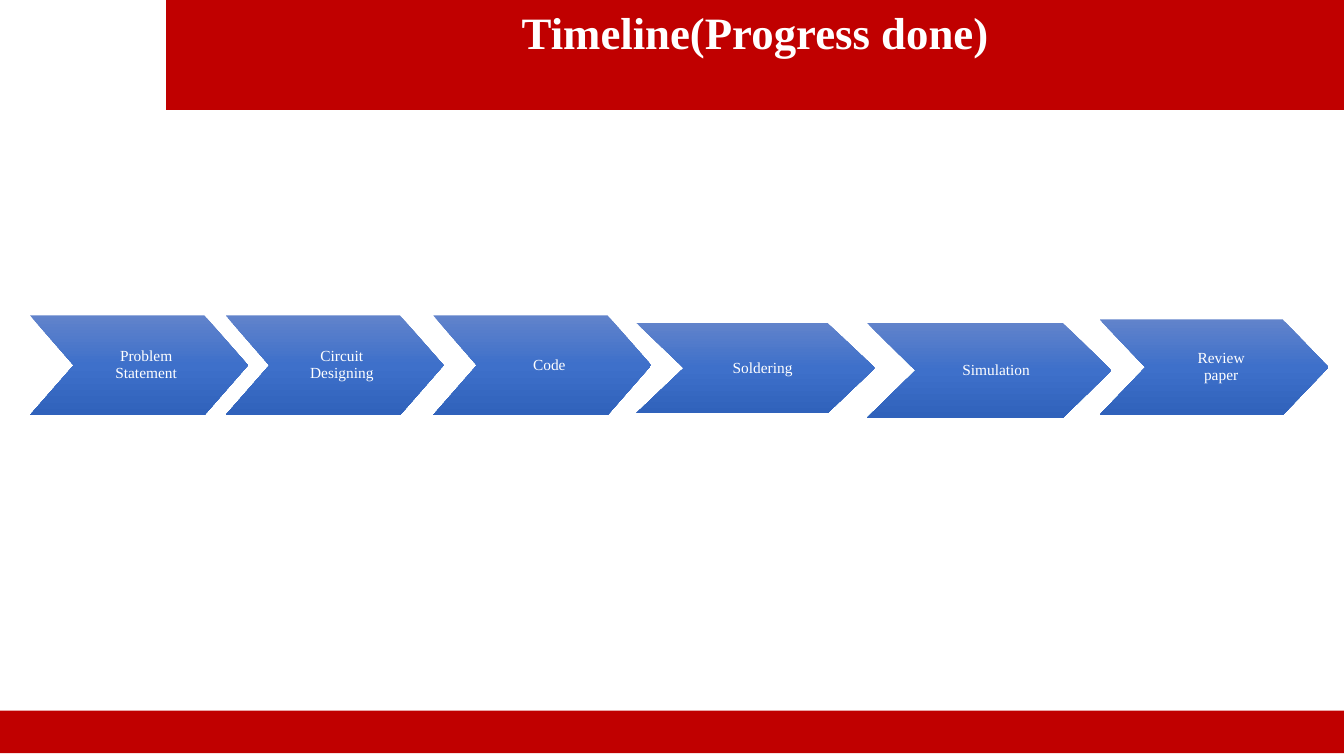
import pptx
import pptx.util
import pptx.dml.color
import pptx.enum.shapes
import pptx.enum.text
import pptx.oxml
import pptx.oxml.ns

Cm, Pt = pptx.util.Cm, pptx.util.Pt
RGB = pptx.dml.color.RGBColor
ALIGN = pptx.enum.text.PP_ALIGN
ANCHOR = pptx.enum.text.MSO_ANCHOR

# Content: lengths in cm
TITLE = "Timeline(Progress done)"
BARS = [  # left, top, width, height, text
    (4.19, 0, 29.69, 2.77, TITLE),
    (0, 17.91, 33.87, 1.07, ""),
]
STEPS = [  # text, left, top, width, height
    ("Problem Statement", 0.76, 7.95, 5.49, 2.51),
    ("Circuit Designing", 5.69, 7.95, 5.49, 2.51),
    ("Code", 10.92, 7.95, 5.49, 2.51),
    ("Soldering", 16.03, 8.13, 6.02, 2.29),
    ("Simulation", 21.84, 8.13, 6.17, 2.41),
    ("Review paper", 27.71, 8.05, 5.77, 2.41),
]
FONT = "Times New Roman"
RED = RGB(0xC0, 0x00, 0x00)
WHITE = RGB(0xFF, 0xFF, 0xFF)
BLUES = [
    (0, RGB(0x61, 0x83, 0xCB)),
    (50, RGB(0x3E, 0x70, 0xCA)),
    (100, RGB(0x30, 0x62, 0xBB)),
]
NOTCH = 0.2  # point depth as a share of the width


def write(shape, text, size, bold=False):
    frame = shape.text_frame
    frame.word_wrap = True
    para = frame.paragraphs[0]
    para.text = text
    para.alignment = ALIGN.CENTER
    para.font.name = FONT
    para.font.size = Pt(size)
    para.font.bold = bold
    para.font.color.rgb = WHITE
    return frame, para


def shade(shape):
    stops = "".join(
        f'<a:gs pos="{at * 1000}"><a:srgbClr val="{tone}"/></a:gs>'
        for at, tone in BLUES
    )
    fill = pptx.oxml.parse_xml(
        f'<a:gradFill {pptx.oxml.ns.nsdecls("a")} rotWithShape="1">'
        f'<a:gsLst>{stops}</a:gsLst><a:lin ang="5400000" scaled="0"/></a:gradFill>'
    )
    geom = shape._element.spPr.find(pptx.oxml.ns.qn("a:custGeom"))
    geom.addnext(fill)


def add_bar(slide, left, top, width, height, text):
    bar = slide.shapes.add_shape(
        pptx.enum.shapes.MSO_SHAPE.RECTANGLE,
        Cm(left), Cm(top), Cm(width), Cm(height),
    )
    bar.shadow.inherit = False
    bar.fill.solid()
    bar.fill.fore_color.rgb = RED
    bar.line.fill.background()
    if text:
        frame, _ = write(bar, text, 32, True)
        frame.vertical_anchor = ANCHOR.TOP


def add_step(slide, text, left, top, width, height):
    right, base, mid = left + width, top + height, top + height / 2
    depth = NOTCH * width
    points = [
        (right - depth, top), (right, mid), (right - depth, base),
        (left, base), (left + depth, mid),
    ]
    form = slide.shapes.build_freeform(Cm(left), Cm(top))
    form.add_line_segments([(Cm(x), Cm(y)) for x, y in points], close=True)
    step = form.convert_to_shape()
    step.shadow.inherit = False
    step.line.fill.background()
    shade(step)
    frame, para = write(step, text, 11)
    para.line_spacing = 0.9
    frame.vertical_anchor = ANCHOR.MIDDLE
    frame.margin_left, frame.margin_right = Cm(2.06), Cm(1.7)
    frame.margin_top = frame.margin_bottom = Cm(0.18)


def main():
    deck = pptx.Presentation()
    deck.slide_width, deck.slide_height = Cm(33.87), Cm(19.05)
    slide = deck.slides.add_slide(deck.slide_layouts[6])

    # Title and footer bars
    for bar in BARS:
        add_bar(slide, *bar)

    # Timeline arrows
    for step in STEPS:
        add_step(slide, *step)

    deck.save("out.pptx")


if __name__ == "__main__":
    main()
